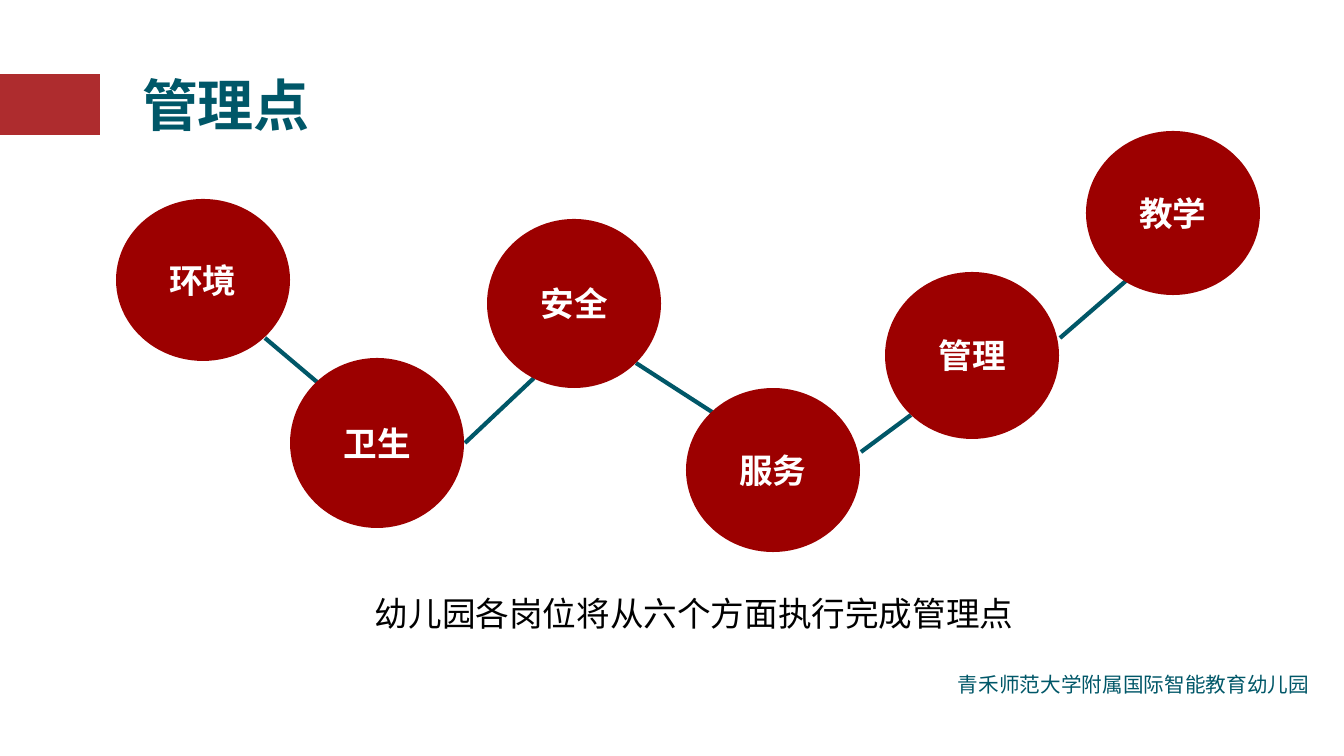
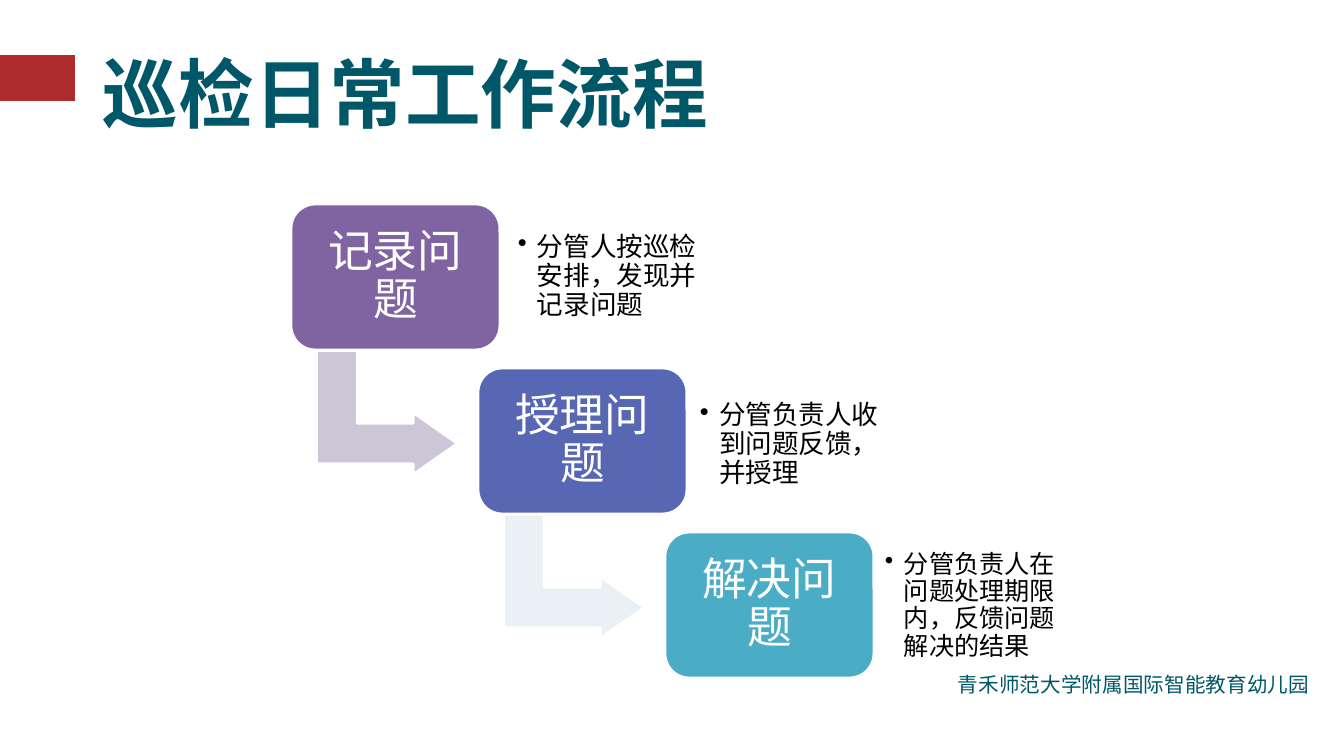
from lxml.etree import SubElement
from pptx import Presentation
from pptx.dml.color import RGBColor
from pptx.enum.shapes import MSO_CONNECTOR, MSO_SHAPE
from pptx.enum.text import MSO_ANCHOR, PP_ALIGN
from pptx.oxml.ns import qn
from pptx.util import Emu, Pt

PIXEL = 914400 / 100.8
TEAL, BAND, CIRCLE, WHITE, BLACK = "005768", "AE2C2E", "9C0000", "FFFFFF", "000000"
CJK, LATIN = "Noto Sans CJK SC", "Calibri"

FOOTER = "青禾师范大学附属国际智能教育幼儿园"
FOOTER_BOX = (948, 667, 372, 35)

# Management points: label, left, top, height
POINTS_TITLE = "管理点"
POINTS_CAPTION = "幼儿园各岗位将从六个方面执行完成管理点"
CIRCLE_WIDTH = 174
POINTS = [
    ("环境", 116, 199, 162),
    ("卫生", 290, 358, 170),
    ("安全", 487, 219, 169),
    ("服务", 686, 388, 164),
    ("管理", 885, 272, 167),
    ("教学", 1086, 131, 164),
]
LINKS = [
    (265, 338, 317, 382),
    (465, 443, 534, 378),
    (636, 363, 712, 412),
    (861, 452, 911, 415),
    (1060, 338, 1127, 280),
]

# Inspection steps: label, fill, arrow fill, note, note box, note size, note inset
STEPS_TITLE = "巡检日常工作流程"
STEPS = [
    ("记录问题", "8064A2", "CDC6D7", "分管人按巡检安排，发现并记录问题",
     (508, 218, 210, 118), 19, 10),
    ("授理问题", "5767B4", "E9F1F5", "分管负责人收到问题反馈，并授理",
     (690, 386, 203, 118), 19, 10),
    ("解决问题", "4BACC6", None, "分管负责人在问题处理期限内，反馈问题解决的结果",
     (878, 547, 206, 118), 18, 7),
]
STEP_BOX = (291, 204, 209, 146)
ARROW_BOX = (325, 342, 124, 141)
STEP_RIGHT, STEP_DOWN = 187, 164
ARROW_ADJUST = (0.328, 0.25, 0.358)


def px(length):
    """Turn pixels into EMU."""
    return Emu(round(length * PIXEL))


def rgb(value):
    """Turn a hex string into a colour."""
    return RGBColor.from_string(value)


def write(shape, text, size, color=BLACK, font=CJK, bold=False, align=PP_ALIGN.LEFT,
          anchor=MSO_ANCHOR.TOP, inset=(10, 5), wrap=True, spacing=None, bullet=0):
    """Put one formatted paragraph into a shape; bullet is the hanging indent."""
    frame = shape.text_frame
    frame.word_wrap = wrap
    frame.vertical_anchor = anchor
    frame.margin_left = frame.margin_right = px(inset[0])
    frame.margin_top = frame.margin_bottom = px(inset[1])
    paragraph = frame.paragraphs[0]
    paragraph.alignment = align
    if spacing:
        paragraph.line_spacing = spacing
    if bullet:
        properties = paragraph._p.get_or_add_pPr()
        properties.set("marL", str(px(bullet)))
        properties.set("indent", str(-px(bullet)))
        SubElement(properties, qn("a:buChar")).set("char", "•")
    run = paragraph.add_run()
    run.text = text
    run.font.size = Pt(size)
    run.font.bold = bold
    run.font.color.rgb = rgb(color)
    run.font.name = font
    SubElement(run._r.get_or_add_rPr(), qn("a:ea")).set("typeface", CJK)


def add_text(slide, box, text, size, **style):
    """Add a text box."""
    write(slide.shapes.add_textbox(*map(px, box)), text, size, **style)


def add_block(slide, kind, box, fill, outline=None):
    """Add a flat preset shape."""
    block = slide.shapes.add_shape(kind, *map(px, box))
    block.shadow.inherit = False
    block.fill.solid()
    block.fill.fore_color.rgb = rgb(fill)
    if outline:
        block.line.color.rgb = rgb(outline)
        block.line.width = Pt(2)
    else:
        block.line.fill.background()
    return block


def add_link(slide, ends):
    """Add a plain teal line."""
    link = slide.shapes.add_connector(MSO_CONNECTOR.STRAIGHT, *map(px, ends))
    link.line.color.rgb = rgb(TEAL)
    link.line.width = Pt(3)
    SubElement(link._element.spPr, qn("a:effectLst"))


def add_page(deck, title, size, title_box, band_box, inset):
    """Start a slide with its footer, title and red band."""
    slide = deck.slides.add_slide(deck.slide_layouts[6])
    add_text(slide, FOOTER_BOX, FOOTER, 14.7, color=TEAL, wrap=False)
    add_text(slide, title_box, title, size, color=TEAL, bold=True,
             anchor=MSO_ANCHOR.MIDDLE, inset=inset)
    add_block(slide, MSO_SHAPE.RECTANGLE, band_box, BAND)
    return slide


def shifted(box, step):
    """Move a box down the staircase."""
    left, top, width, height = box
    return left + step * STEP_RIGHT, top + step * STEP_DOWN, width, height


def build_points(deck):
    """Build the chain of management points."""
    slide = add_page(deck, POINTS_TITLE, 40, (129, 41, 291, 126), (-1, 74, 101, 61), (13, 7))
    for ends in LINKS:
        add_link(slide, ends)
    add_text(slide, (365, 588, 665, 50), POINTS_CAPTION, 24, wrap=False)
    for label, left, top, height in POINTS:
        circle = add_block(slide, MSO_SHAPE.OVAL, (left, top, CIRCLE_WIDTH, height), CIRCLE)
        write(circle, label, 24, color=WHITE, bold=True, align=PP_ALIGN.CENTER,
              anchor=MSO_ANCHOR.MIDDLE)


def build_steps(deck):
    """Build the staircase of inspection steps."""
    slide = add_page(deck, STEPS_TITLE, 54, (93, 40, 1159, 105), (-1, 55, 76, 46), (10, 5))
    for step, (label, fill, arrow_fill, note, note_box, size, inset) in enumerate(STEPS):
        if arrow_fill:
            arrow = add_block(slide, MSO_SHAPE.BENT_UP_ARROW, shifted(ARROW_BOX, step),
                              arrow_fill, WHITE)
            arrow.rotation = 90
            for index, value in enumerate(ARROW_ADJUST):
                arrow.adjustments[index] = value
        card = add_block(slide, MSO_SHAPE.ROUNDED_RECTANGLE, shifted(STEP_BOX, step), fill, WHITE)
        write(card, label, 32, color=WHITE, font=LATIN, align=PP_ALIGN.CENTER,
              anchor=MSO_ANCHOR.MIDDLE, inset=(13, 13), spacing=0.9)
        add_text(slide, note_box, note, size, font=LATIN, anchor=MSO_ANCHOR.MIDDLE,
                 inset=(inset, inset), spacing=0.9, bullet=19)


deck = Presentation()
deck.slide_width, deck.slide_height = px(1344), px(756)
build_points(deck)
build_steps(deck)
deck.save("out.pptx")
